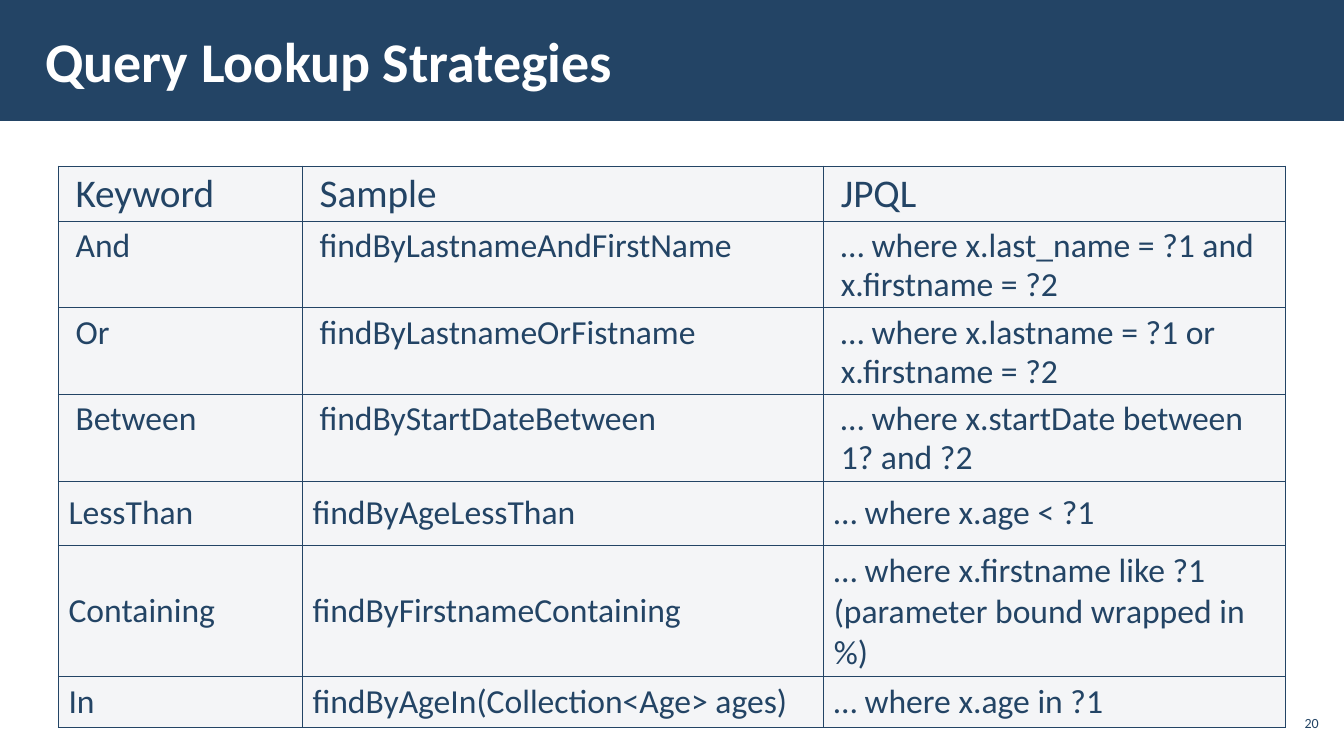
import pptx
import pptx.dml.color
import pptx.enum.shapes
import pptx.enum.text
import pptx.oxml
import pptx.oxml.ns
import pptx.util

PX = 9144  # 100 px to the inch
NAVY = pptx.dml.color.RGBColor(0x23, 0x44, 0x65)
PALE = pptx.dml.color.RGBColor(0xF4, 0xF5, 0xF7)
WHITE = pptx.dml.color.RGBColor(0xFF, 0xFF, 0xFF)
ALIGN = pptx.enum.text.PP_ALIGN
ANCHOR = pptx.enum.text.MSO_ANCHOR

COLUMN_WIDTHS = (242, 517, 458)
ROW_HEIGHTS = (40, 64, 64, 36, 64, 64, 36)
QUERY_ROWS = (
    ("Keyword", "Sample", "JPQL"),
    ("And", "findByLastnameAndFirstName",
     "… where x.last_name = ?1 and x.firstname = ?2"),
    ("Or", "findByLastnameOrFistname",
     "… where x.lastname = ?1 or x.firstname = ?2"),
    ("Between", "findByStartDateBetween",
     "… where x.startDate between 1? and ?2"),
    ("LessThan", "findByAgeLessThan", "… where x.age < ?1"),
    ("Containing", "findByFirstnameContaining",
     "… where x.firstname like ?1 (parameter bound wrapped in %)"),
    ("In", "findByAgeIn(Collection<Age> ages)", "… where x.age in ?1"),
)
INDENTED_ROWS = 4  # header and first three keywords: top-anchored, wider margins


def set_attributes(target, values):
    for name, value in values.items():
        setattr(target, name, value)


def box(left, top, width, height):
    return [length * PX for length in (left, top, width, height)]


def margins(horizontal, vertical):
    return {"margin_left": horizontal * PX, "margin_right": horizontal * PX,
            "margin_top": vertical * PX, "margin_bottom": vertical * PX}


def write_text(text_frame, text, size, color=NAVY, bold=False, **paragraph_format):
    text_frame.text = text
    paragraph = text_frame.paragraphs[0]
    set_attributes(paragraph, paragraph_format)
    font = paragraph.runs[0].font
    set_attributes(font, {"name": "Calibri", "size": pptx.util.Pt(size), "bold": bold})
    font.color.rgb = color


def add_title_band(slide, text):
    band = slide.shapes.add_shape(
        pptx.enum.shapes.MSO_SHAPE.RECTANGLE, *box(0, 0, 1334, 120))
    band.shadow.inherit = False
    band.fill.solid()
    band.fill.fore_color.rgb = NAVY
    band.line.fill.background()

    title = slide.shapes.title
    title.element.addprevious(band.element)
    left, top, width, height = box(21, 11, 1039, 97)
    set_attributes(title, {"left": left, "top": top, "width": width, "height": height})
    set_attributes(title.text_frame, {
        **margins(24, 4), "word_wrap": True, "vertical_anchor": ANCHOR.MIDDLE,
        "auto_size": pptx.enum.text.MSO_AUTO_SIZE.NONE})
    write_text(title.text_frame, text, 40, WHITE, True, alignment=ALIGN.LEFT)


def add_page_number(slide, number):
    text_frame = slide.shapes.add_textbox(*box(1265, 700, 47, 34)).text_frame
    set_attributes(text_frame, {
        **margins(4, 4), "word_wrap": True, "vertical_anchor": ANCHOR.MIDDLE})
    write_text(text_frame, number, 10, alignment=ALIGN.RIGHT)


def set_borders(cell):
    properties = cell._tc.get_or_add_tcPr()
    for index, side in enumerate("LRTB"):
        properties.insert(index, pptx.oxml.parse_xml(
            f'<a:ln{side} {pptx.oxml.ns.nsdecls("a")} w="{pptx.util.Pt(1)}">'
            f'<a:solidFill><a:srgbClr val="{NAVY}"/></a:solidFill></a:ln{side}>'))


def format_cell(cell, text, row_index):
    indented = row_index < INDENTED_ROWS
    set_attributes(cell, {
        **margins(17 if indented else 10, 5),
        "vertical_anchor": ANCHOR.TOP if indented else ANCHOR.MIDDLE})
    write_text(cell.text_frame, text, 28 if row_index == 0 else 24,
               line_spacing=0.95 if indented else 1.0)
    cell.fill.solid()
    cell.fill.fore_color.rgb = PALE
    set_borders(cell)


def add_query_table(slide):
    table = slide.shapes.add_table(
        len(ROW_HEIGHTS), len(COLUMN_WIDTHS),
        *box(58, 165, sum(COLUMN_WIDTHS), sum(ROW_HEIGHTS))).table
    set_attributes(table, {"first_row": False, "horz_banding": False})
    for column, width in zip(table.columns, COLUMN_WIDTHS):
        column.width = width * PX
    for row_index, texts in enumerate(QUERY_ROWS):
        row = table.rows[row_index]
        row.height = ROW_HEIGHTS[row_index] * PX
        for cell, text in zip(row.cells, texts):
            format_cell(cell, text, row_index)


def main():
    presentation = pptx.Presentation()
    set_attributes(presentation, {"slide_width": 1333 * PX, "slide_height": 750 * PX})
    title_only = presentation.slide_layouts[5]
    slide = presentation.slides.add_slide(title_only)
    add_title_band(slide, "Query Lookup Strategies")
    add_page_number(slide, "20")
    add_query_table(slide)
    presentation.save("out.pptx")


if __name__ == "__main__":
    main()
